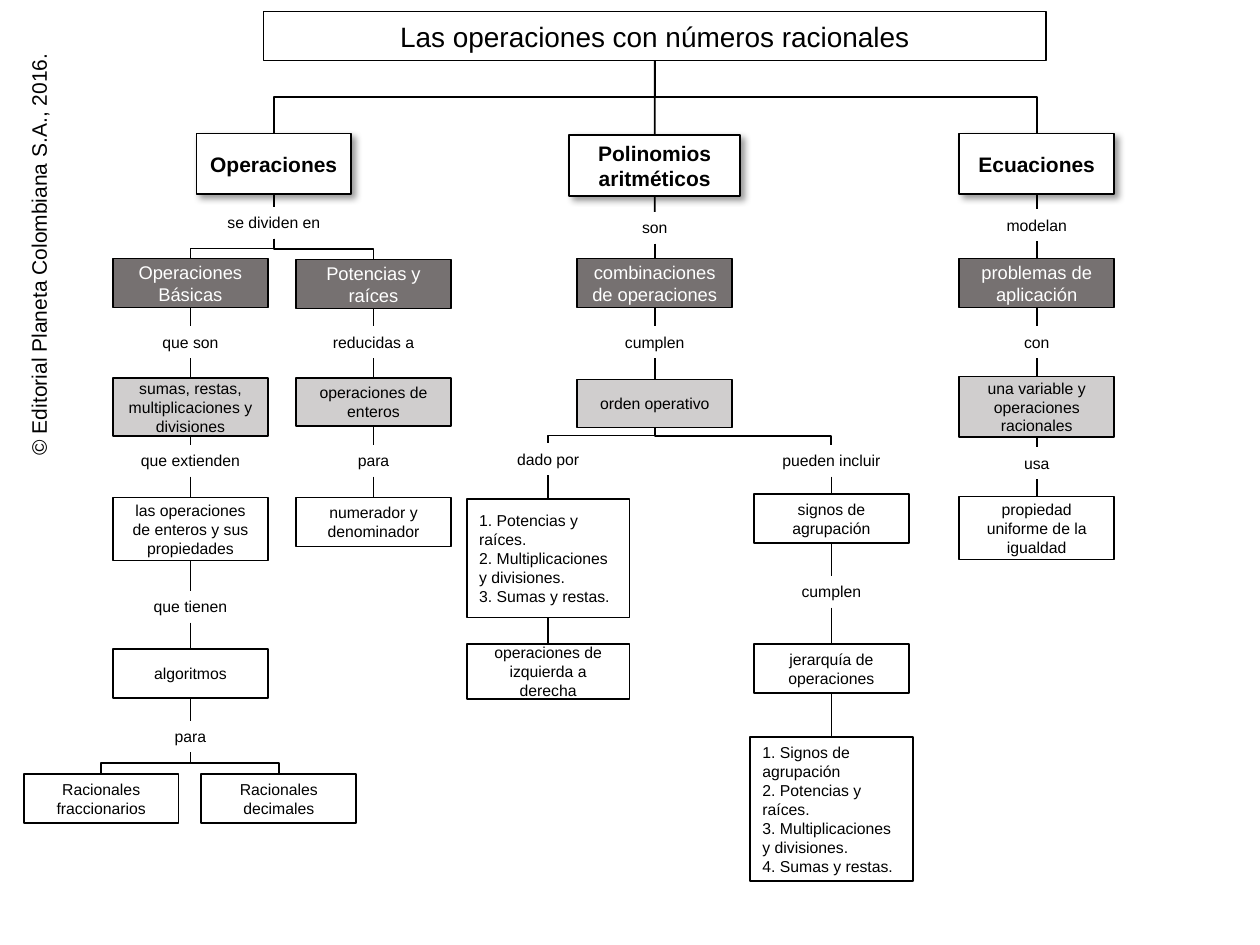
from lxml import etree
from pptx import Presentation
from pptx.dml.color import RGBColor
from pptx.enum.shapes import MSO_CONNECTOR, MSO_SHAPE
from pptx.enum.text import MSO_ANCHOR, PP_ALIGN
from pptx.oxml import parse_xml
from pptx.oxml.ns import nsdecls, qn
from pptx.util import Cm, Pt

RECTANGLE = MSO_SHAPE.RECTANGLE
STRAIGHT, ELBOW = MSO_CONNECTOR.STRAIGHT, MSO_CONNECTOR.ELBOW
LEFT, CENTER = PP_ALIGN.LEFT, PP_ALIGN.CENTER
MIDDLE, TOP = MSO_ANCHOR.MIDDLE, MSO_ANCHOR.TOP
BLACK = RGBColor(0x00, 0x00, 0x00)
WHITE = RGBColor(0xFF, 0xFF, 0xFF)
DARK_GRAY = RGBColor(0x76, 0x71, 0x71)
LIGHT_GRAY = RGBColor(0xD0, 0xCE, 0xCE)
FONT = "Arial"
BOTTOM_SIDE, TOP_SIDE = 2, 0

# Column centres in cm
FRACTIONS, BASIC, OPERATIONS, DECIMALS, POWERS = 2.04, 3.84, 5.52, 5.62, 7.53
ORDER, POLYNOMIALS, SIGNS, EQUATIONS = 11.05, 13.2, 16.76, 20.9

# Level: width, fill, text colour, size, bold, alignment
LEVELS = {
    "topic": (3.12, WHITE, BLACK, 12, True, CENTER),
    "wide topic": (3.45, WHITE, BLACK, 12, True, CENTER),
    "concept": (3.12, DARK_GRAY, WHITE, 10.5, False, CENTER),
    "detail": (3.12, LIGHT_GRAY, BLACK, 9, False, CENTER),
    "example": (3.12, WHITE, BLACK, 9, False, CENTER),
    "wide example": (3.28, WHITE, BLACK, 9, False, CENTER),
    "list": (3.28, WHITE, BLACK, 9, False, LEFT),
    "link": (3.12, None, BLACK, 9, False, CENTER),
}

# Node: key, parent, level, centre, top, height, text
NODES = [
    ("operations", "title", "topic", OPERATIONS, 2.69, 1.22, "Operaciones"),
    ("divided", "operations", "link", OPERATIONS, 4.17, 0.64, "se dividen en"),
    ("basic", "divided", "concept", BASIC, 5.21, 0.99, "Operaciones Básicas"),
    ("are", "basic", "link", BASIC, 6.58, 0.64, "que son"),
    ("sums", "are", "detail", BASIC, 7.62, 1.17,
     "sumas, restas, multiplicaciones y divisiones"),
    ("extend", "sums", "link", BASIC, 8.97, 0.64, "que extienden"),
    ("integers", "extend", "example", BASIC, 10.03, 1.27,
     "las operaciones de enteros y sus propiedades"),
    ("have", "integers", "link", BASIC, 11.91, 0.64, "que tienen"),
    ("algorithms", "have", "example", BASIC, 13.08, 0.99, "algoritmos"),
    ("for kinds", "algorithms", "link", BASIC, 14.53, 0.64, "para"),
    ("fractions", "for kinds", "example", FRACTIONS, 15.6, 0.99, "Racionales fraccionarios"),
    ("decimals", "for kinds", "example", DECIMALS, 15.6, 0.99, "Racionales decimales"),
    ("powers", "divided", "concept", POWERS, 5.23, 0.99, "Potencias y raíces"),
    ("reduced", "powers", "link", POWERS, 6.58, 0.64, "reducidas a"),
    ("integer ops", "reduced", "detail", POWERS, 7.62, 0.97, "operaciones de enteros"),
    ("for parts", "integer ops", "link", POWERS, 8.97, 0.64, "para"),
    ("parts", "for parts", "example", POWERS, 10.03, 0.99, "numerador y denominador"),
    ("polynomials", "title", "wide topic", POLYNOMIALS, 2.72, 1.24, "Polinomios aritméticos"),
    ("polynomials are", "polynomials", "link", POLYNOMIALS, 4.27, 0.64, "son"),
    ("combinations", "polynomials are", "concept", POLYNOMIALS, 5.21, 0.99,
     "combinaciones de operaciones"),
    ("obey", "combinations", "link", POLYNOMIALS, 6.58, 0.64, "cumplen"),
    ("order", "obey", "detail", POLYNOMIALS, 7.65, 0.97, "orden operativo"),
    ("given by", "order", "link", ORDER, 8.94, 0.64, "dado por"),
    ("order list", "given by", "list", ORDER, 10.06, 2.39,
     "1. Potencias y raíces.\n2. Multiplicaciones y divisiones.\n3. Sumas y restas."),
    ("left to right", "order list", "wide example", ORDER, 12.98, 1.12,
     "operaciones de izquierda a derecha"),
    ("may include", "order", "link", SIGNS, 8.97, 0.64, "pueden incluir"),
    ("signs", "may include", "example", SIGNS, 9.96, 0.99, "signos de agrupación"),
    ("signs obey", "signs", "link", SIGNS, 11.61, 0.64, "cumplen"),
    ("hierarchy", "signs obey", "example", SIGNS, 12.98, 0.99, "jerarquía de operaciones"),
    ("hierarchy list", "hierarchy", "list", SIGNS, 14.86, 2.9,
     "1. Signos de agrupación\n2. Potencias y raíces.\n"
     "3. Multiplicaciones y divisiones.\n4. Sumas y restas."),
    ("equations", "title", "topic", EQUATIONS, 2.69, 1.22, "Ecuaciones"),
    ("model", "equations", "link", EQUATIONS, 4.22, 0.64, "modelan"),
    ("problems", "model", "concept", EQUATIONS, 5.21, 0.99, "problemas de aplicación"),
    ("with", "problems", "link", EQUATIONS, 6.58, 0.64, "con"),
    ("variable", "with", "detail", EQUATIONS, 7.59, 1.22,
     "una variable y operaciones racionales"),
    ("uses", "variable", "link", EQUATIONS, 9.02, 0.64, "usa"),
    ("property", "uses", "example", EQUATIONS, 10.01, 1.27,
     "propiedad uniforme de la igualdad"),
]


def write(shape, text, size, color=BLACK, bold=False, align=CENTER, anchor=MIDDLE):
    frame = shape.text_frame
    frame.word_wrap = True
    frame.vertical_anchor = anchor
    for number, line in enumerate(text.split("\n")):
        paragraph = frame.add_paragraph() if number else frame.paragraphs[0]
        paragraph.alignment = align
        run = paragraph.add_run()
        run.text = line
        run.font.name = FONT
        run.font.size = Pt(size)
        run.font.bold = bold
        run.font.color.rgb = color


def paint(shape, fill):
    shape.fill.solid()
    shape.fill.fore_color.rgb = fill
    shape.line.color.rgb = BLACK
    shape.line.width = Pt(1)


prs = Presentation()
prs.slide_width, prs.slide_height = Cm(25.4), Cm(19.05)
slide = prs.slides.add_slide(prs.slide_layouts[5])
shapes = slide.shapes

# Copyright line along the left edge
copyright_line = shapes.add_textbox(Cm(-3.55), Cm(4.75), Cm(8.66), Cm(0.76))
copyright_line.rotation = 270
write(copyright_line, "© Editorial Planeta Colombiana S.A., 2016.", 12, anchor=TOP)
copyright_line.text_frame.word_wrap = False

# Title
title = shapes.title
title.left, title.top, title.width, title.height = Cm(5.31), Cm(0.23), Cm(15.78), Cm(0.99)
paint(title, WHITE)
write(title, "Las operaciones con números racionales", 16)

# Concepts and linking words
placed = {"title": title}
for key, parent, level, centre, top, height, text in NODES:
    width, fill, color, size, bold, align = LEVELS[level]
    area = Cm(centre - width / 2), Cm(top), Cm(width), Cm(height)
    if level == "link":
        node = shapes.add_textbox(*area)
    else:
        node = shapes.add_shape(RECTANGLE, *area)
        node.shadow.inherit = False
        paint(node, fill)
    write(node, text, size, color, bold, align, TOP if level == "link" else MIDDLE)
    if "topic" in level:
        node._element.spPr.find(qn("a:effectLst")).append(parse_xml(
            f'<a:outerShdw {nsdecls("a")} blurRad="50800" dist="38100" dir="2700000" '
            'algn="tl" rotWithShape="0"><a:srgbClr val="000000">'
            '<a:alpha val="40000"/></a:srgbClr></a:outerShdw>'))
    placed[key] = node

# Connectors from each parent down to its child
for key, parent, _, centre, *_ in NODES:
    upper, lower = placed[parent], placed[key]
    x1, x2 = (box.left + box.width // 2 for box in (upper, lower))
    y1, y2 = upper.top + upper.height, lower.top
    across, down = x2 - x1, y2 - y1
    bent = abs(across) > Cm(0.05)
    branch = shapes.add_connector(ELBOW if bent else STRAIGHT, x1, y1, x2, y2)
    branch.begin_connect(upper, BOTTOM_SIDE)
    branch.end_connect(lower, TOP_SIDE)
    branch.line.color.rgb = BLACK
    branch.line.width = Pt(1)
    properties = branch._element.spPr
    etree.SubElement(properties, qn("a:effectLst"))
    if bent:  # quarter turn, so that the elbow leaves downwards
        branch.left = (x1 + x2 - down) // 2
        branch.top = (y1 + y2 - abs(across)) // 2
        branch.width, branch.height = down, abs(across)
        turn = properties.find(qn("a:xfrm"))
        turn.set("rot", "16200000" if across > 0 else "5400000")
        turn.set("flipH", "1" if across > 0 else "0")

prs.save("out.pptx")
